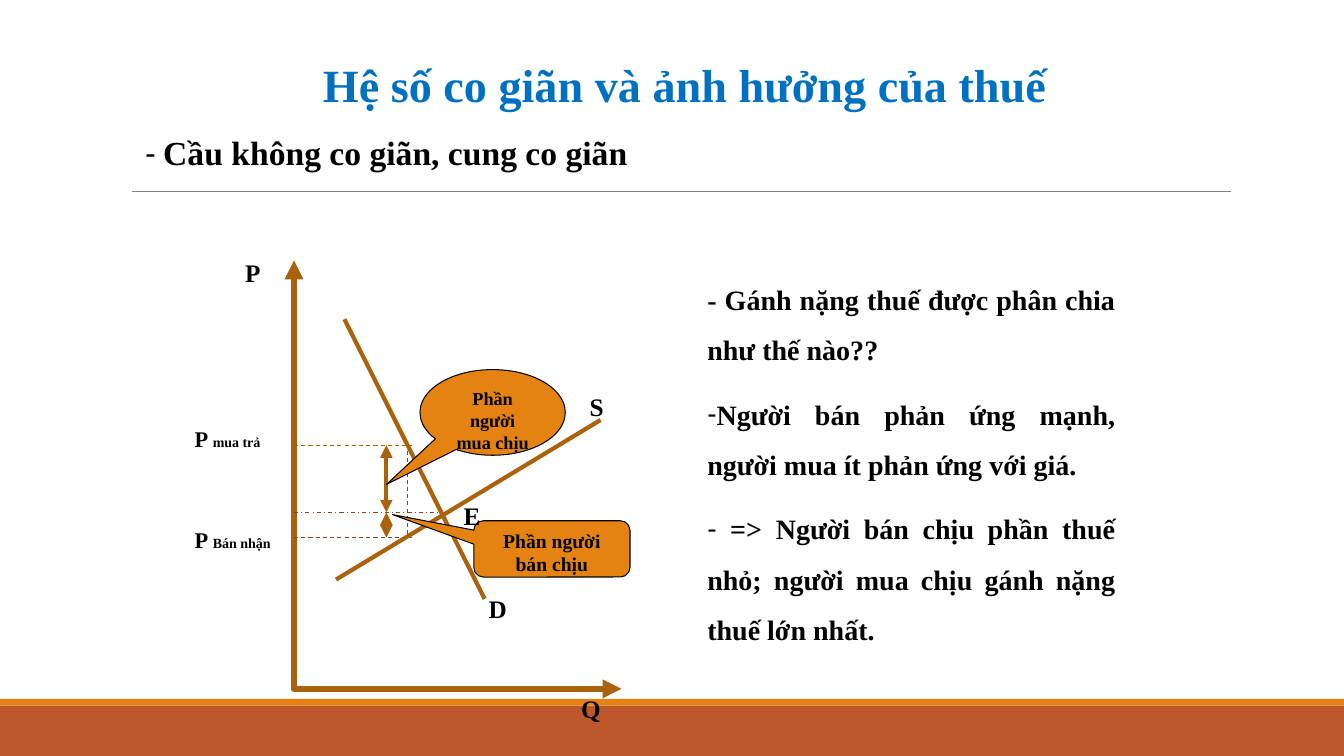
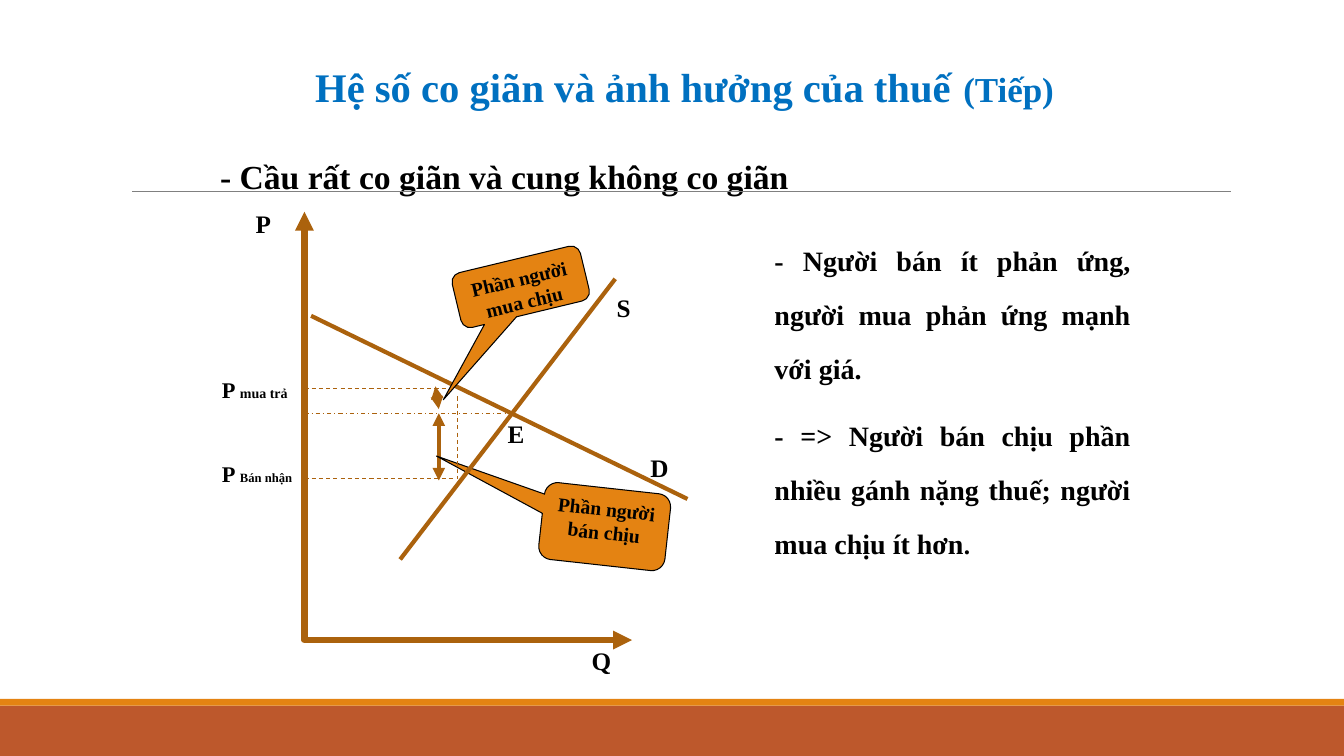
import pptx
import pptx.util
import pptx.dml.color
import pptx.enum.dml
import pptx.enum.shapes
import pptx.enum.text
import pptx.oxml
import pptx.oxml.ns

COLUMNS, ROWS = 160, 90
SERIF, SANS = "Times New Roman", "Calibri"
BLACK, BLUE, GREY = "000000", "0070C0", "808080"
ORANGE, RUST, BROWN, DARK_BROWN = "E48312", "BD582C", "AB620D", "8E4221"
DASH = pptx.enum.dml.MSO_LINE.DASH
DASH_DOT = pptx.enum.dml.MSO_LINE.DASH_DOT
CENTER = pptx.enum.text.PP_ALIGN.CENTER
JUSTIFY = pptx.enum.text.PP_ALIGN.JUSTIFY
LEFT = pptx.enum.text.PP_ALIGN.LEFT
TOP = pptx.enum.text.MSO_ANCHOR.TOP
MIDDLE = pptx.enum.text.MSO_ANCHOR.MIDDLE
SHAPE = pptx.enum.shapes.MSO_SHAPE
STRAIGHT = pptx.enum.shapes.MSO_CONNECTOR.STRAIGHT


def color(value):
    return pptx.dml.color.RGBColor.from_string(value)


def element(tag, **attributes):
    node = pptx.oxml.parse_xml(f"<a:{tag} {pptx.oxml.ns.nsdecls('a')}/>")
    for key, value in attributes.items():
        node.set(key, value)
    return node


class Deck:
    """Draws tax diagrams on a 160 by 90 grid, with graph points measured from the axes' origin."""

    def __init__(self):
        self.deck = pptx.Presentation()
        self.deck.slide_width = pptx.util.Inches(13.333)
        self.deck.slide_height = pptx.util.Inches(7.5)
        self.slide = None
        self.origin = (0, ROWS)

    def x(self, columns):
        return round(self.deck.slide_width * columns / COLUMNS)

    def y(self, rows):
        return round(self.deck.slide_height * rows / ROWS)

    def box(self, column, row, width, height):
        return self.x(column), self.y(row), self.x(width), self.y(height)

    def point(self, across, up):
        return self.origin[0] + across, self.origin[1] - up

    def start_slide(self):
        self.slide = self.deck.slides.add_slide(self.deck.slide_layouts[3])
        self.band(84, 6, RUST)
        self.band(83.2, 0.8, ORANGE)
        self.line((15.75, 22.8), (146.5, 22.8), GREY, 0.5)

    def band(self, row, height, fill):
        band = self.slide.shapes.add_shape(SHAPE.RECTANGLE, *self.box(0, row, COLUMNS, height))
        band.shadow.inherit = False
        band.fill.solid()
        band.fill.fore_color.rgb = color(fill)
        band.line.fill.background()

    def line(self, begin, end, stroke, weight, dash=None, arrows=False):
        line = self.slide.shapes.add_connector(
            STRAIGHT, self.x(begin[0]), self.y(begin[1]), self.x(end[0]), self.y(end[1]))
        line._element.spPr.append(element("effectLst"))
        self.stroke(line, stroke, weight, dash, arrows)

    def stroke(self, shape, stroke, weight, dash=None, arrows=False):
        shape.line.color.rgb = color(stroke)
        shape.line.width = pptx.util.Pt(weight)
        if dash:
            shape.line.dash_style = dash
        if arrows:
            outline = shape.get_or_add_ln()
            for end in ("headEnd", "tailEnd"):
                outline.append(element(end, type="triangle"))

    def add_runs(self, paragraph, runs, ink=BLACK):
        for text, size, *font in runs:
            run = paragraph.add_run()
            run.text = text
            run.font.size = pptx.util.Pt(size)
            run.font.name = font[0] if font else SERIF
            run.font.bold = not font
            run.font.color.rgb = color(ink)

    def placeholder(self, index, place, paragraphs, align=LEFT, spacing=1.0,
                    ink=BLACK, anchor=TOP, dashed=()):
        holder = self.slide.placeholders[index]
        holder.left, holder.top, holder.width, holder.height = self.box(*place)
        frame = holder.text_frame
        frame.word_wrap = True
        frame.auto_size = pptx.enum.text.MSO_AUTO_SIZE.NONE
        frame.vertical_anchor = anchor
        for number, runs in enumerate(paragraphs):
            paragraph = frame.add_paragraph() if number else frame.paragraphs[0]
            paragraph.alignment = align
            paragraph.line_spacing = spacing
            paragraph.space_before = pptx.util.Pt(10 if number else 0)
            properties = paragraph._p.get_or_add_pPr()
            properties.set("marL", "0")
            properties.set("indent", "0")
            bullet = element("buChar", char="-") if number in dashed else element("buNone")
            properties.append(bullet)
            self.add_runs(paragraph, runs, ink)

    def title(self, *runs):
        self.placeholder(0, (23, 6.8, 117, 7.2), [runs], CENTER, 0.9, BLUE, MIDDLE)

    def heading(self, place, *runs):
        self.placeholder(1, place, [runs])

    def body(self, place, paragraphs, spacing, dashed=()):
        self.placeholder(2, place, paragraphs, JUSTIFY, spacing, dashed=dashed)

    def axes(self, column, row):
        self.origin = (column, row)
        top, corner, right = [(self.x(c), self.y(r)) for c, r in (
            self.point(0, 51), self.point(0, 0), self.point(39, 0))]
        builder = self.slide.shapes.build_freeform(*top, scale=1.0)
        builder.add_line_segments([corner, right], close=False)
        axes = builder.convert_to_shape()
        axes.shadow.inherit = False
        axes.fill.background()
        self.stroke(axes, BROWN, 4.5, arrows=True)
        self.label(-7, 52, ("P", 18))
        self.label(33, 0, ("Q", 18))

    def guide(self, begin, end, stroke=BROWN, dash=DASH):
        self.line(self.point(*begin), self.point(*end), stroke, 0.75, dash)

    def curve(self, begin, end):
        self.line(self.point(*begin), self.point(*end), BROWN, 3)

    def share(self, begin, end):
        self.line(self.point(*begin), self.point(*end), BROWN, 3, arrows=True)

    def label(self, across, up, *runs, width=9):
        label = self.slide.shapes.add_textbox(*self.box(*self.point(across, up), width, 4.6))
        label.text_frame.word_wrap = True
        self.add_runs(label.text_frame.paragraphs[0], runs)

    def price(self, across, up, payer, size=10):
        self.label(across, up, ("P ", 16), (payer, size), width=14)

    def callout(self, across, up, width, height, text, pointer, size=14, turn=0,
                outline=SHAPE.ROUNDED_RECTANGULAR_CALLOUT):
        callout = self.slide.shapes.add_shape(
            outline, *self.box(*self.point(across, up), width, height))
        callout.shadow.inherit = False
        callout.rotation = turn
        for number, value in enumerate(pointer):
            callout.adjustments[number] = value
        callout.fill.solid()
        callout.fill.fore_color.rgb = color(ORANGE)
        self.stroke(callout, BLACK, 0.75)
        frame = callout.text_frame
        frame.word_wrap = True
        frame.vertical_anchor = TOP
        frame.paragraphs[0].alignment = CENTER
        self.add_runs(frame.paragraphs[0], [(text, size)])


TOPIC = "Hệ số co giãn và ảnh hưởng của thuế"
BUYER_PAYS, SELLER_GETS = "mua trả", "Bán nhận"
BUYER_SHARE, SELLER_SHARE = "Phần người mua chịu", "Phần người bán chịu"


def inelastic_demand(deck):
    deck.start_slide()
    deck.title((TOPIC, 33))
    deck.heading((16.1, 15.1, 68, 6), ("- ", 24, SANS), ("Cầu không co giãn, cung co giãn", 24))
    deck.axes(35, 82)
    deck.price(-13, 20, SELLER_GETS)
    deck.guide((0, 29), (14, 29))
    deck.guide((0, 18), (14, 18), DARK_BROWN)
    deck.guide((13.5, 29.2), (13.5, 18.2), DARK_BROWN)
    deck.guide((0, 21), (18, 21), DARK_BROWN, DASH_DOT)
    deck.share((11, 29), (11, 21))
    deck.share((11, 21), (11, 18))
    deck.curve((6, 44), (22.7, 10.7))
    deck.curve((5, 13), (36.5, 32))
    deck.price(-13, 32, BUYER_PAYS)
    deck.callout(21.4, 20, 18.6, 6.7, SELLER_SHARE, (-1.02, -0.61, 0.17))
    deck.label(34, 36, ("S", 18))
    deck.label(22, 12, ("D", 18))
    deck.callout(15, 38, 17.3, 10.2, BUYER_SHARE, (-0.73, 0.84), 13,
                 outline=SHAPE.OVAL_CALLOUT)
    deck.label(19, 23, ("E", 18))
    deck.body((83, 31, 51, 47.6), [
        [("- Gánh nặng thuế được phân chia như thế nào??", 20)],
        [("Người bán phản ứng mạnh, người mua ít phản ứng với giá.", 20)],
        [(" => Người bán chịu phần thuế nhỏ; người mua chịu gánh nặng thuế lớn nhất.", 20)],
    ], 1.5, dashed=(1, 2))


def elastic_demand(deck):
    deck.start_slide()
    deck.title((TOPIC, 29), (" ", 33), ("(Tiếp)", 25))
    deck.heading((25, 18, 75.8, 6), ("- Cầu rất co giãn và cung không co giãn", 24))
    deck.axes(36.24, 76.2)
    deck.guide((0, 30), (18, 30))
    deck.guide((0, 27), (24, 27), dash=DASH_DOT)
    deck.share((16, 27), (16, 19))
    deck.share((15.6, 30.2), (16, 27.5))
    deck.price(-11, 32, BUYER_PAYS)
    deck.callout(28.2, 18.1, 15.1, 9.2, SELLER_SHARE, (-1.38, -0.67, 0.17), turn=6.3)
    deck.label(36, 42, ("S", 18))
    deck.label(40, 23, ("D", 18))
    deck.guide((0, 19.2), (18, 19.2))
    deck.guide((18.25, 29), (18.25, 19.2))
    deck.curve((0.8, 38.6), (45.6, 16.8))
    deck.curve((11.4, 9.6), (37, 43))
    deck.price(-11, 22, SELLER_GETS, 9)
    deck.label(23, 27, ("E", 18))
    deck.callout(17.9, 45.4, 15.7, 6.7, BUYER_SHARE, (-0.77, 1.63, 0.17), turn=346.5)
    deck.body((91, 26, 44.8, 42), [
        [("- Người bán ít phản ứng, người mua phản ứng mạnh với giá.", 20)],
        [("- => Người bán chịu phần nhiều gánh nặng thuế; người mua chịu ít hơn", 20), (".", 18)],
    ], 1.6)


lecture = Deck()
inelastic_demand(lecture)
elastic_demand(lecture)
lecture.deck.save("out.pptx")
